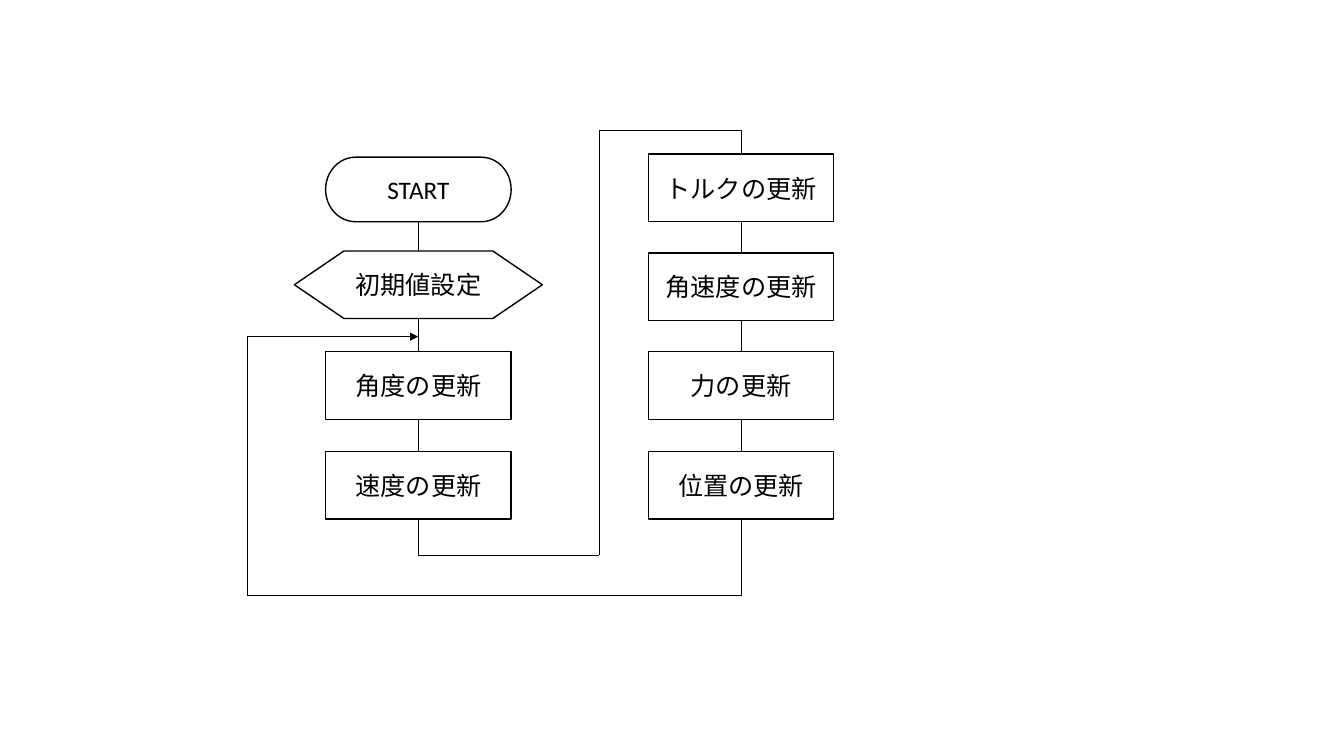
from itertools import pairwise

from lxml import etree
from pptx import Presentation
from pptx.dml.color import RGBColor
from pptx.enum import shapes, text
from pptx.oxml.ns import qn
from pptx.util import Inches, Pt

KIND = shapes.MSO_SHAPE
LINK = shapes.MSO_CONNECTOR
BLACK, WHITE = "000000", "FFFFFF"
TOP, BOTTOM = 0, 2


def color(value):
    """Turn a hex string into a colour."""
    return RGBColor.from_string(value)


class Flowchart:
    """Hold the style and the current slide."""

    font, size = "Calibri", Pt(18)
    outline, thin = Pt(1), Pt(0.5)

    def __init__(self, page):
        """Draw on the given page."""
        self.page = page

    def box(self, kind, left, top, width, height, label="", line=BLACK):
        """Add a white shape with an optional centred label."""
        box = self.page.shapes.add_shape(
            kind, Inches(left), Inches(top), Inches(width), Inches(height))
        box.shadow.inherit = False
        box.fill.solid()
        box.fill.fore_color.rgb = color(WHITE)
        box.line.color.rgb = color(line)
        box.line.width = self.outline
        if label:
            self.label(box, label)
        return box

    def label(self, box, label):
        """Write a centred label in a shape."""
        frame = box.text_frame
        frame.vertical_anchor = text.MSO_ANCHOR.MIDDLE
        frame.word_wrap = True
        para = frame.paragraphs[0]
        para.text = label
        para.alignment = text.PP_ALIGN.CENTER
        para.font.name, para.font.size = self.font, self.size
        para.font.color.rgb = color(BLACK)

    def connector(self, kind, left=0, top=0, right=0, bottom=0):
        """Add a thin black connector without shadow."""
        line = self.page.shapes.add_connector(
            kind, Inches(left), Inches(top), Inches(right), Inches(bottom))
        line.line.color.rgb = color(BLACK)
        line.line.width = self.thin
        etree.SubElement(line._element.spPr, qn("a:effectLst"))
        return line

    def chain(self, boxes):
        """Join each box to the one below it."""
        for upper, lower in pairwise(boxes):
            line = self.connector(LINK.STRAIGHT)
            line.begin_connect(upper, BOTTOM)
            line.end_connect(lower, TOP)

    def elbow(self, start, end, preset, turn, flips, bends=(), arrow=False):
        """Add a bent connector turned by a quarter about its centre."""
        (x1, y1), (x2, y2) = start, end
        middle_x, middle_y = (x1 + x2) / 2, (y1 + y2) / 2
        half_width, half_height = abs(y2 - y1) / 2, abs(x2 - x1) / 2
        line = self.connector(
            LINK.ELBOW, middle_x - half_width, middle_y - half_height,
            middle_x + half_width, middle_y + half_height)
        properties = line._element.spPr
        frame = properties.find(qn("a:xfrm"))
        frame.set("rot", str(turn * 60000))
        for flip in flips:
            frame.set(flip, "1")
        geometry = properties.find(qn("a:prstGeom"))
        geometry.set("prst", preset)
        for number, bend in enumerate(bends, 1):
            etree.SubElement(geometry.find(qn("a:avLst")), qn("a:gd"),
                             name=f"adj{number}", fmla=f"val {round(bend * 100000)}")
        if arrow:
            etree.SubElement(properties.find(qn("a:ln")), qn("a:tailEnd"), type="triangle")


deck = Presentation()
deck.slide_width, deck.slide_height = Inches(13.33), Inches(7.5)
chart = Flowchart(deck.slides.add_slide(deck.slide_layouts[6]))

chart.box(KIND.RECTANGLE, 1.72, 1.12, 7.32, 5.07, line=WHITE)

WIDTH, HEIGHT = 1.84, 0.67
SETUP_X, UPDATE_X = 3.23, 6.43
ROWS = [1.53, 2.51, 3.49, 4.48]

setup = [
    chart.box(KIND.FLOWCHART_TERMINATOR, SETUP_X, 1.56, WIDTH, 0.64, "START"),
    chart.box(KIND.FLOWCHART_PREPARATION, 2.92, 2.49, 2.46, HEIGHT, "初期値設定"),
]
setup += [chart.box(KIND.FLOWCHART_PROCESS, SETUP_X, top, WIDTH, HEIGHT, label)
          for top, label in zip(ROWS[2:], ["角度の更新", "速度の更新"])]
updates = [chart.box(KIND.FLOWCHART_PROCESS, UPDATE_X, top, WIDTH, HEIGHT, label)
           for top, label in zip(ROWS, ["トルクの更新", "角速度の更新", "力の更新", "位置の更新"])]
chart.chain(setup)
chart.chain(updates)

setup_axis, update_axis = SETUP_X + WIDTH / 2, UPDATE_X + WIDTH / 2
last_bottom = ROWS[-1] + HEIGHT
corner = (5.94, 5.51)
chart.elbow((setup_axis, last_bottom), corner, "bentConnector2", 270, ["flipH"])
chart.elbow((update_axis, ROWS[0]), corner, "bentConnector3", 270,
            ["flipH", "flipV"], [-0.06])
chart.elbow((update_axis, last_bottom), (setup_axis, 3.34), "bentConnector4", 90,
            ["flipH"], [-0.42, 1.53], arrow=True)

deck.save("out.pptx")
